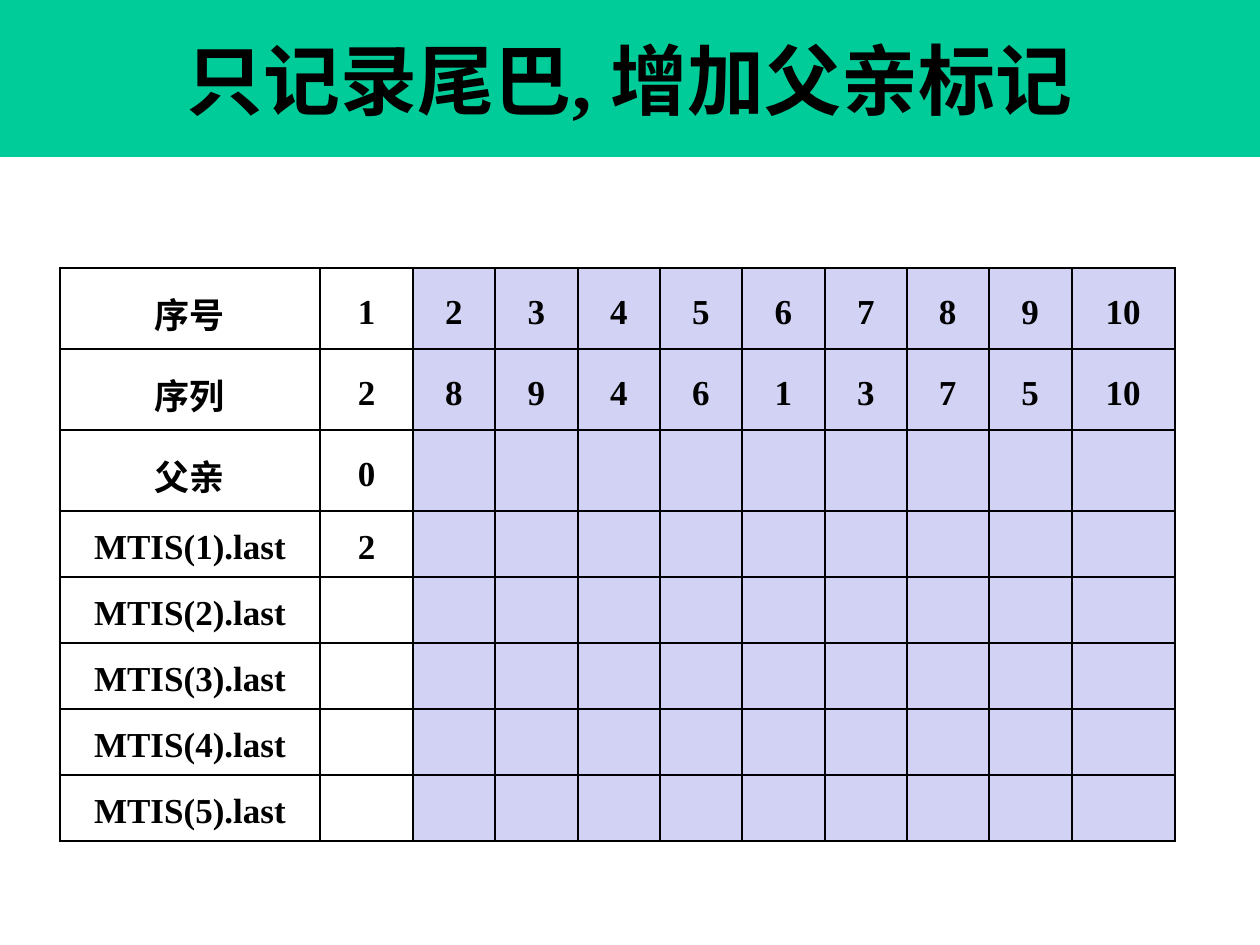
from lxml import etree
from pptx import Presentation
from pptx import util as u
from pptx.dml.color import RGBColor
from pptx.enum import text
from pptx.oxml.ns import qn

PX = 914400 // 126
FONT = "Times New Roman"
GREEN = RGBColor(0x00, 0xCC, 0x99)
LAVENDER = RGBColor(0xD2, 0xD2, 0xF4)
BLACK = RGBColor(0, 0, 0)
WHITE = RGBColor(0xFF, 0xFF, 0xFF)

COL_WIDTHS = [260, 93] + [82, 83, 82, 82, 83, 82, 82, 83] + [103]
ROW_HEIGHTS = [81] * 3 + [66] * 5
ROWS = [
    ["序号", *range(1, 11)],
    ["序列", 2, 8, 9, 4, 6, 1, 3, 7, 5, 10],
    ["父亲", 0],
    ["MTIS(1).last", 2],
    *[[f"MTIS({n}).last"] for n in range(2, 6)],
]
FIRST_SHADED_COL = 2


def style_paragraph(p, size):
    p.alignment = text.PP_ALIGN.CENTER
    p.font.name = FONT
    p.font.size = u.Pt(size)
    p.font.bold = True
    p.font.color.rgb = BLACK


def add_title(s, left, top, width, height):
    sp = s.shapes.title
    sp.left, sp.top, sp.width, sp.height = (v * PX for v in (left, top, width, height))
    sp.fill.solid()
    sp.fill.fore_color.rgb = GREEN
    tf = sp.text_frame
    tf.vertical_anchor = text.MSO_ANCHOR.MIDDLE
    tf.text = "只记录尾巴, 增加父亲标记"
    style_paragraph(tf.paragraphs[0], 44)


def set_borders(cell):
    tc_pr = cell._tc.get_or_add_tcPr()
    for i, side in enumerate(("lnL", "lnR", "lnT", "lnB")):
        ln = etree.Element(qn(f"a:{side}"), w=str(u.Pt(1.5)))
        fill = etree.SubElement(ln, qn("a:solidFill"))
        etree.SubElement(fill, qn("a:srgbClr"), val=str(BLACK))
        tc_pr.insert(i, ln)


def format_cell(cell, value, color):
    cell.fill.solid()
    cell.fill.fore_color.rgb = color
    set_borders(cell)
    cell.vertical_anchor = text.MSO_ANCHOR.MIDDLE
    cell.margin_left = cell.margin_right = 0
    cell.margin_top = cell.margin_bottom = 9 * PX
    cell.text = str(value)
    p = cell.text_frame.paragraphs[0]
    p.line_spacing = 1.2
    style_paragraph(p, 20)


def add_sequence_table(s, left, top):
    width, height = sum(COL_WIDTHS), sum(ROW_HEIGHTS)
    table = s.shapes.add_table(len(ROWS), len(COL_WIDTHS), left * PX, top * PX,
                               width * PX, height * PX).table
    for column, w in zip(table.columns, COL_WIDTHS):
        column.width = w * PX
    for row, h, values in zip(table.rows, ROW_HEIGHTS, ROWS):
        row.height = h * PX
        for c, cell in enumerate(row.cells):
            value = values[c] if c < len(values) else ""
            format_cell(cell, value, LAVENDER if c >= FIRST_SHADED_COL else WHITE)


def main():
    prs = Presentation()
    prs.slide_width, prs.slide_height = u.Inches(10), u.Inches(7.5)
    s = prs.slides.add_slide(prs.slide_layouts[5])
    add_title(s, 0, 0, 1260, 157)
    add_sequence_table(s, 60, 268)
    prs.save("out.pptx")


if __name__ == "__main__":
    main()
